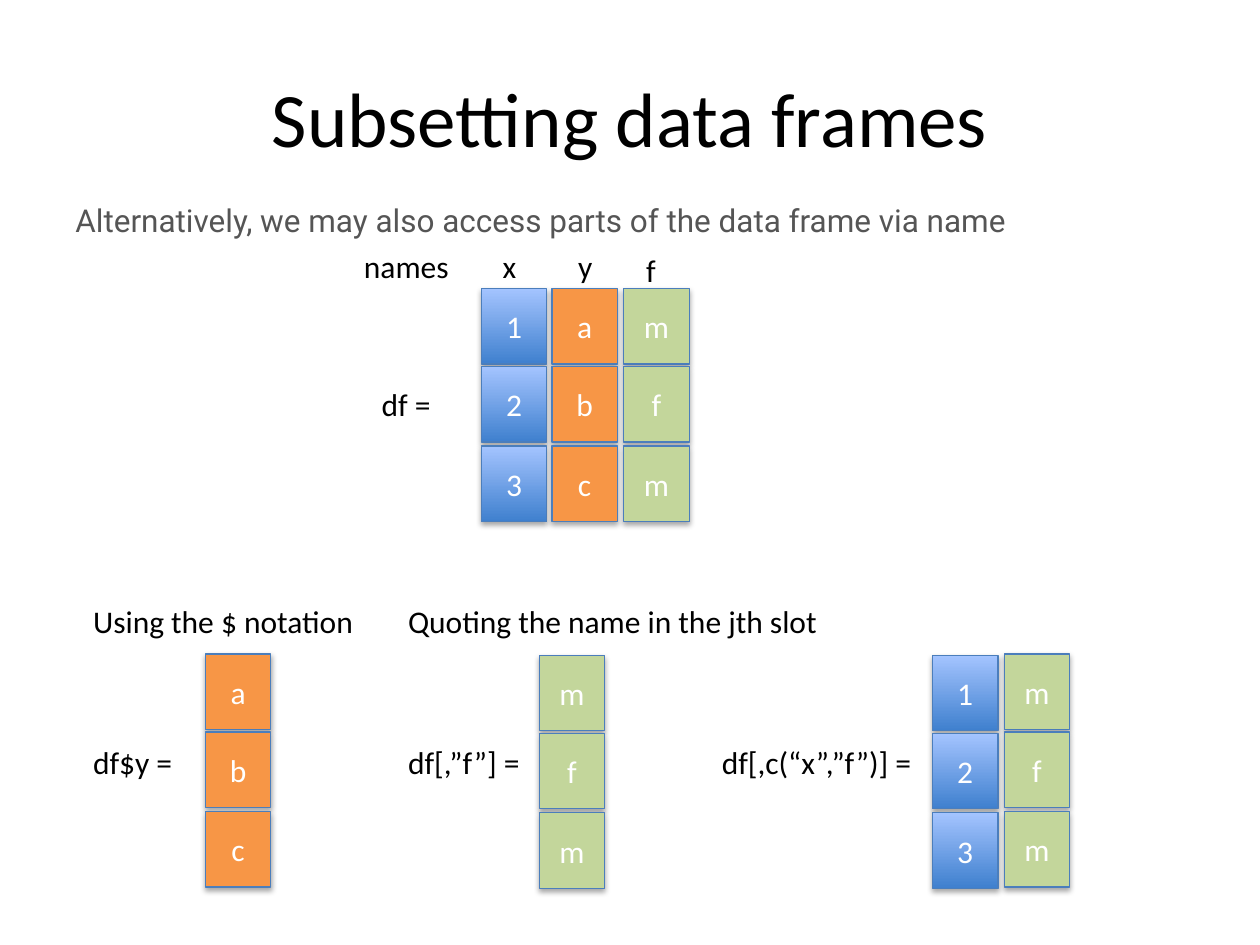
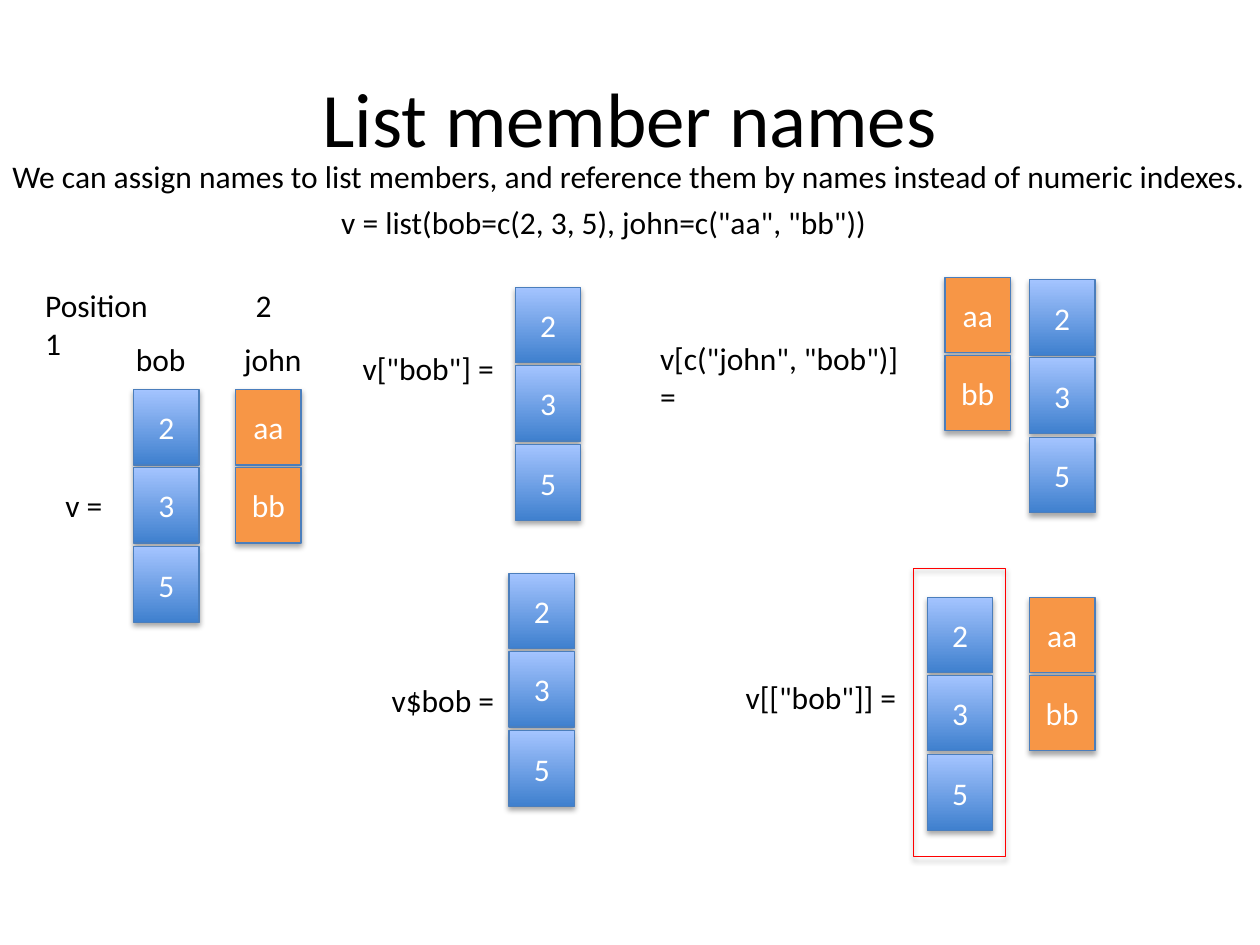
from dataclasses import dataclass

from lxml import etree
from pptx import Presentation
from pptx import util as u
from pptx.dml.color import RGBColor
from pptx.enum import shapes, text
from pptx.oxml import ns
from pptx.shapes.autoshape import Shape
from pptx.slide import Slide

EMU_PER_PX = 9144
CELL_WIDTH, CELL_HEIGHT = 52, 60
LABEL_HEIGHT = 40
BODY_FONT = "Calibri"

COLORS = {
    "ink": "000000",
    "grey": "555555",
    "white": "FFFFFF",
    "outline": "4B7EBC",
    "blue_low": "3F80CE",
    "blue_high": "A4C4FF",
    "orange": "F79646",
    "green": "C3D69B",
    "red": "FF0000",
}


@dataclass(frozen=True)
class Label:
    words: str
    left: int
    top: int
    width: int
    height: int = LABEL_HEIGHT
    wrap: bool = False
    font: str = BODY_FONT
    color: str = "ink"


@dataclass(frozen=True)
class Column:
    values: tuple[str, ...]
    tint: str
    left: int
    top: int


def px(length: int) -> u.Emu:
    return u.Emu(length * EMU_PER_PX)


def rgb(name: str) -> RGBColor:
    return RGBColor.from_string(COLORS[name])


def write(shape: Shape, words: str, color: str, size: int = 18,
          font: str = BODY_FONT, centred: bool = False) -> None:
    paragraph = shape.text_frame.paragraphs[0]
    paragraph.alignment = text.PP_ALIGN.CENTER if centred else text.PP_ALIGN.LEFT
    run = paragraph.add_run()
    run.text = words
    run.font.size = u.Pt(size)
    run.font.name = font
    run.font.color.rgb = rgb(color)


def draw_title(slide: Slide, words: str) -> None:
    title = slide.shapes.add_textbox(px(50), px(30), px(900), px(125))
    title.text_frame.word_wrap = True
    title.text_frame.vertical_anchor = text.MSO_ANCHOR.MIDDLE
    write(title, words, "ink", size=44, centred=True)


def draw_label(slide: Slide, label: Label) -> None:
    box = slide.shapes.add_textbox(
        px(label.left), px(label.top), px(label.width), px(label.height))
    box.text_frame.word_wrap = label.wrap
    box.text_frame.auto_size = text.MSO_AUTO_SIZE.SHAPE_TO_FIT_TEXT
    write(box, label.words, label.color, font=label.font)


def add_shadow(shape: Shape) -> None:
    shape.shadow.inherit = False
    effects = shape._element.spPr.find(ns.qn("a:effectLst"))
    shadow = etree.SubElement(effects, ns.qn("a:outerShdw"), blurRad="40000",
                              dist="23000", dir="5400000", rotWithShape="0")
    tone = etree.SubElement(shadow, ns.qn("a:srgbClr"), val=COLORS["ink"])
    etree.SubElement(tone, ns.qn("a:alpha"), val="35000")


def add_frame(slide: Slide, left: int, top: int, width: int, height: int,
              outline: str) -> Shape:
    frame = slide.shapes.add_shape(
        shapes.MSO_SHAPE.RECTANGLE, px(left), px(top), px(width), px(height))
    frame.fill.background()
    frame.line.color.rgb = rgb(outline)
    frame.line.width = u.Pt(0.75)
    add_shadow(frame)
    return frame


def paint(cell: Shape, tint: str) -> None:
    if tint == "blue":
        cell.fill.gradient()
        cell.fill.gradient_angle = 90
        for stop, color in zip(cell.fill.gradient_stops, ("blue_low", "blue_high")):
            stop.color.rgb = rgb(color)
    else:
        cell.fill.solid()
        cell.fill.fore_color.rgb = rgb(tint)


def draw_column(slide: Slide, column: Column) -> None:
    for row, value in enumerate(column.values):
        cell = add_frame(slide, column.left, column.top + row * 125 // 2,
                         CELL_WIDTH, CELL_HEIGHT, "outline")
        paint(cell, column.tint)
        cell.text_frame.word_wrap = True
        cell.text_frame.vertical_anchor = text.MSO_ANCHOR.MIDDLE
        write(cell, value, "white", centred=True)


def build_slide(deck, title: str, labels: list[Label], columns: list[Column]) -> Slide:
    slide = deck.slides.add_slide(deck.slide_layouts[6])
    draw_title(slide, title)
    for column in columns:
        draw_column(slide, column)
    for label in labels:
        draw_label(slide, label)
    return slide


def build_data_frames(deck) -> None:
    x, y, f = ("1", "2", "3"), ("a", "b", "c"), ("m", "f", "m")
    labels = [
        Label("Alternatively, we may also access parts of the data frame via name",
              50, 155, 900, wrap=True, font="Roboto", color="grey"),
        Label("names", 279, 191, 88),
        Label("x", 389, 191, 31),
        Label("y", 449, 191, 32),
        Label("f", 503, 194, 28),
        Label("df =", 293, 301, 65),
        Label("Using the $ notation", 64, 473, 229),
        Label("df$y =", 64, 585, 90),
        Label("Quoting the name in the jth slot", 314, 473, 349),
        Label("df[,”f”] =", 314, 585, 116),
        Label("df[,c(“x”,”f”)] =", 563, 585, 178),
    ]
    columns = [
        Column(x, "blue", 382, 229),
        Column(y, "orange", 438, 229),
        Column(f, "green", 495, 229),
        Column(y, "orange", 163, 519),
        Column(f, "green", 428, 520),
        Column(x, "blue", 740, 520),
        Column(f, "green", 797, 519),
    ]
    build_slide(deck, "Subsetting data frames", labels, columns)


def build_list_names(deck) -> None:
    bob, john = ("2", "3", "5"), ("aa", "bb")
    labels = [
        Label("We can assign names to list members, and reference them by names "
              "instead of numeric indexes.", 0, 120, 1000, 71, wrap=True),
        Label('v = list(bob=c(2, 3, 5), john=c("aa", "bb"))', 261, 156, 442),
        Label("Position 1", 26, 222, 119),
        Label("2", 193, 222, 32),
        Label("bob", 98, 265, 60),
        Label("john", 184, 265, 66),
        Label("v =", 42, 381, 50),
        Label('v["bob"] =', 278, 272, 137),
        Label('v[c("john", "bob")] =', 514, 264, 226),
        Label('v[["bob"]] =', 582, 533, 147),
        Label("v$bob =", 301, 536, 103),
    ]
    columns = [
        Column(bob, "blue", 106, 309),
        Column(john, "orange", 187, 309),
        Column(bob, "blue", 409, 228),
        Column(john, "orange", 750, 220),
        Column(bob, "blue", 817, 222),
        Column(bob, "blue", 736, 474),
        Column(john, "orange", 817, 474),
        Column(bob, "blue", 404, 455),
    ]
    slide = build_slide(deck, "List member names", labels, columns)
    add_frame(slide, 725, 451, 73, 229, "red")


def main() -> None:
    deck = Presentation()
    deck.slide_width, deck.slide_height = px(1000), px(750)
    build_data_frames(deck)
    build_list_names(deck)
    deck.save("out.pptx")


if __name__ == "__main__":
    main()
